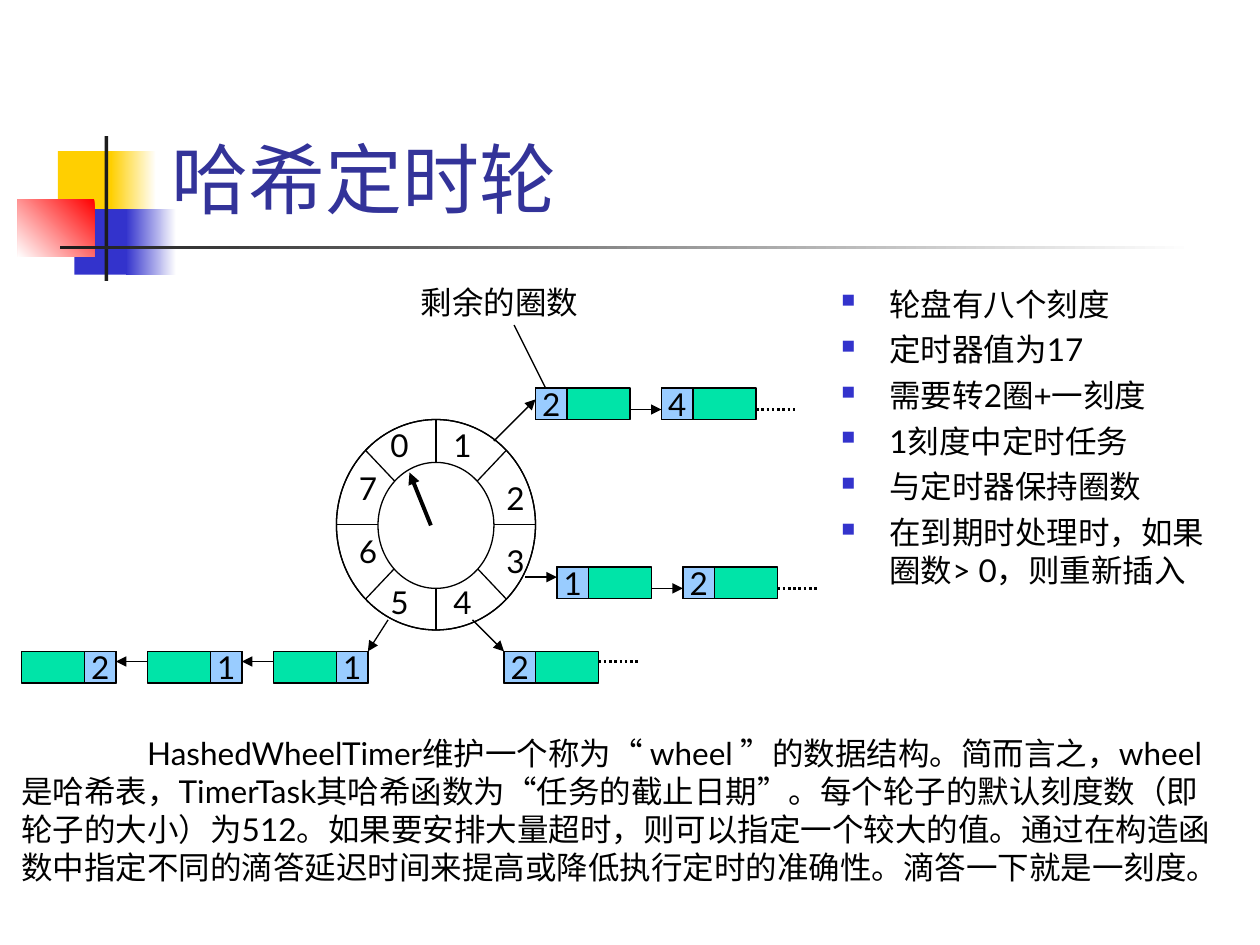
import pptx
import pptx.dml.color
import pptx.enum.dml
import pptx.enum.shapes
import pptx.enum.text
import pptx.oxml.ns
import pptx.util
from dataclasses import dataclass
from lxml import etree
from pptx.util import Inches

SHAPES = pptx.enum.shapes.MSO_SHAPE
ANCHOR = pptx.enum.text.MSO_ANCHOR
ALIGN = pptx.enum.text.PP_ALIGN
qn = pptx.oxml.ns.qn


@dataclass(frozen=True)
class Theme:
    font: str = "Lato"
    title_size: int = 44
    text_size: int = 18
    ink: str = "000000"
    title: str = "333399"
    paper: str = "FFFFFF"
    yellow: str = "FFCF01"
    blue: str = "3333CC"
    red: str = "FF0000"
    rule: str = "1C1C1C"
    task: str = "00E4A8"
    rounds: str = "99CCFF"
    thin: float = 0.75
    dotted: float = 1.5
    hand: float = 2.25


THEME = Theme()


def rgb(value):
    return pptx.dml.color.RGBColor.from_string(value)


def add_box(page, kind, box, fill=None, line=THEME.ink):
    shape = page.shapes.add_shape(kind, *map(Inches, box))
    shape.shadow.inherit = False
    if fill:
        shape.fill.solid()
        shape.fill.fore_color.rgb = rgb(fill)
    else:
        shape.fill.background()
    if line:
        shape.line.color.rgb = rgb(line)
        shape.line.width = pptx.util.Pt(THEME.thin)
    else:
        shape.line.fill.background()
    return shape


def add_gradient(page, box, start, end, angle=180):
    shape = add_box(page, SHAPES.RECTANGLE, box, start, line=None)
    shape.fill.gradient()
    shape.fill.gradient_angle = angle
    for stop, color in zip(shape.fill.gradient_stops, (start, end)):
        stop.color.rgb = rgb(color)


def add_line(page, start, end, width=THEME.thin, arrow=True, dash=None):
    line = page.shapes.add_connector(
        pptx.enum.shapes.MSO_CONNECTOR.STRAIGHT, *map(Inches, (*start, *end)))
    line.line.color.rgb = rgb(THEME.ink)
    line.line.width = pptx.util.Pt(width)
    if dash:
        line.line.dash_style = dash
    properties = line._element.spPr
    if arrow:
        etree.SubElement(properties.find(qn("a:ln")), qn("a:tailEnd"), type="triangle")
    etree.SubElement(properties, qn("a:effectLst"))


def add_span(para, text, size=THEME.text_size, color=THEME.ink):
    span = para.add_run()
    span.text = text
    span.font.name = THEME.font
    span.font.size = pptx.util.Pt(size)
    span.font.color.rgb = rgb(color)


def add_text_frame(page, box, wrap=True, anchor=ANCHOR.TOP):
    frame = page.shapes.add_textbox(*map(Inches, box)).text_frame
    frame.word_wrap = wrap
    frame.vertical_anchor = anchor
    return frame


def add_bullet(para):
    properties = para._p.get_or_add_pPr()
    properties.set("marL", str(Inches(0.38)))
    properties.set("indent", str(Inches(-0.38)))
    color = etree.SubElement(properties, qn("a:buClr"))
    etree.SubElement(color, qn("a:srgbClr"), val=THEME.blue)
    etree.SubElement(properties, qn("a:buSzPct"), val="60000")
    etree.SubElement(properties, qn("a:buChar"), char="■")


def add_ornament(page, left, top):
    """Coloured squares with a cross rule beside the title."""
    def at(x, y, width, height):
        return left + x, top + y, width, height

    add_box(page, SHAPES.RECTANGLE, at(0.32, 0.12, 0.48, 0.52), THEME.yellow, None)
    add_gradient(page, at(0.74, 0.12, 0.36, 0.52), THEME.paper, THEME.yellow)
    add_box(page, SHAPES.RECTANGLE, at(0.45, 0.58, 0.46, 0.52), THEME.blue, None)
    add_gradient(page, at(0.86, 0.58, 0.4, 0.52), THEME.paper, THEME.blue)
    add_gradient(page, at(0, 0.5, 0.61, 0.46), THEME.red, THEME.paper, 225)
    add_box(page, SHAPES.RECTANGLE, at(0.69, 0, 0.03, 1.15), THEME.rule, None)
    add_gradient(page, at(0.34, 0.87, 9, 0.03), THEME.paper, THEME.rule)


def add_title(page, box, text):
    frame = add_text_frame(page, box, anchor=ANCHOR.BOTTOM)
    add_span(frame.paragraphs[0], text, THEME.title_size, THEME.title)


def add_wheel(page, left, top, width, height):
    """Eight-slot dial, its hand, and the arrows leaving the slots."""
    def at(x, y):
        return left + x, top + y

    outer = left, top, width, height
    add_box(page, SHAPES.FLOWCHART_SUMMING_JUNCTION, outer)
    add_box(page, SHAPES.FLOWCHART_OR, outer)
    add_box(page, SHAPES.OVAL, (*at(0.33, 0.34), 0.92, 1), THEME.paper)
    add_line(page, at(0.75, 0.84), at(0.58, 0.42), THEME.hand)

    slots = [(0.33, 0), (0.83, 0), (1.25, 0.42), (1.25, 0.92),
             (0.83, 1.25), (0.33, 1.25), (0.08, 0.84), (0.08, 0.34)]
    for number, place in enumerate(slots):
        frame = add_text_frame(page, (*at(*place), 0.34, 0.4), wrap=False)
        add_span(frame.paragraphs[0], str(number))

    exits = [((1.25, 0.17), (1.58, -0.16)), ((1.5, 1.25), (1.75, 1.25)),
             ((1.08, 1.59), (1.33, 1.84)), ((0.41, 1.59), (0.25, 1.84))]
    for start, end in exits:
        add_line(page, at(*start), at(*end))


def add_chain(page, left, top, counts, link, leftward=False):
    """Linked tasks, each holding its remaining rounds; link is the arrow height."""
    task, cell, step = 0.75, 0.25, 1
    for index, count in enumerate(counts):
        x = left - index * step if leftward else left + index * step
        add_box(page, SHAPES.RECTANGLE, (x, top, task, cell), THEME.task)
        cell_left = x + task - cell if leftward else x
        square = add_box(page, SHAPES.RECTANGLE, (cell_left, top, cell, cell), THEME.rounds)
        frame = square.text_frame
        frame.word_wrap = False
        frame.vertical_anchor = ANCHOR.MIDDLE
        frame.paragraphs[0].alignment = ALIGN.CENTER
        add_span(frame.paragraphs[0], str(count))

        y = top + link
        start = x if leftward else x + task
        if index < len(counts) - 1:
            end = start - (step - task) if leftward else start + step - task
            add_line(page, (start, y), (end, y))
        elif not leftward:
            add_line(page, (start, y), (start + 0.33, y), THEME.dotted, False,
                     pptx.enum.dml.MSO_LINE.ROUND_DOT)


def add_callout(page, left, top, text):
    frame = add_text_frame(page, (left, top, 1.45, 0.4), wrap=False)
    add_span(frame.paragraphs[0], text)
    add_line(page, (left + 1.09, top + 0.88), (left + 0.84, top + 0.38), arrow=False)


def add_points(page, box, points):
    frame = add_text_frame(page, box)
    for index, point in enumerate(points):
        para = frame.add_paragraph() if index else frame.paragraphs[0]
        add_bullet(para)
        if index:
            para.space_before = pptx.util.Pt(4.5)
        add_span(para, point)


def add_explanation(page, box, text):
    para = add_text_frame(page, box).paragraphs[0]
    tabs = etree.SubElement(para._p.get_or_add_pPr(), qn("a:tabLst"))
    etree.SubElement(tabs, qn("a:tab"), pos=str(Inches(1)), algn="l")
    add_span(para, text)


def main():
    deck = pptx.Presentation()
    deck.slide_width, deck.slide_height = Inches(10), Inches(7.5)
    page = deck.slides.add_slide(deck.slide_layouts[6])

    # Heading
    add_ornament(page, 0.14, 1.08)
    add_title(page, (1.26, 0.23, 8.52, 1.6), "哈希定时轮")

    # Wheel and the task chains of its slots
    add_wheel(page, 2.67, 3.33, 1.58, 1.67)
    add_chain(page, 4.25, 3.08, [2, 4], 0.17)
    add_chain(page, 4.42, 4.5, [1, 2], 0.17)
    add_chain(page, 4, 5.17, [2], 0.08)
    add_chain(page, 2.17, 5.17, [1, 1, 2], 0.08, leftward=True)
    add_callout(page, 3.24, 2.2, "剩余的圈数")

    # Text
    add_points(page, (6.58, 2.21, 3.21, 4.5), [
        "轮盘有八个刻度", "定时器值为17", "需要转2圈+一刻度",
        "1刻度中定时任务", "与定时器保持圈数", "在到期时处理时，如果圈数> 0，则重新插入"])
    add_explanation(page, (0.07, 5.78, 9.71, 1.6), (
        "\tHashedWheelTimer维护一个称为“ wheel ”的数据结构。简而言之，wheel是哈希表，"
        "TimerTask其哈希函数为“任务的截止日期”。每个轮子的默认刻度数（即轮子的大小）为512。"
        "如果要安排大量超时，则可以指定一个较大的值。通过在构造函数中指定不同的滴答延迟时间"
        "来提高或降低执行定时的准确性。滴答一下就是一刻度。"))
    deck.save("out.pptx")


if __name__ == "__main__":
    main()
